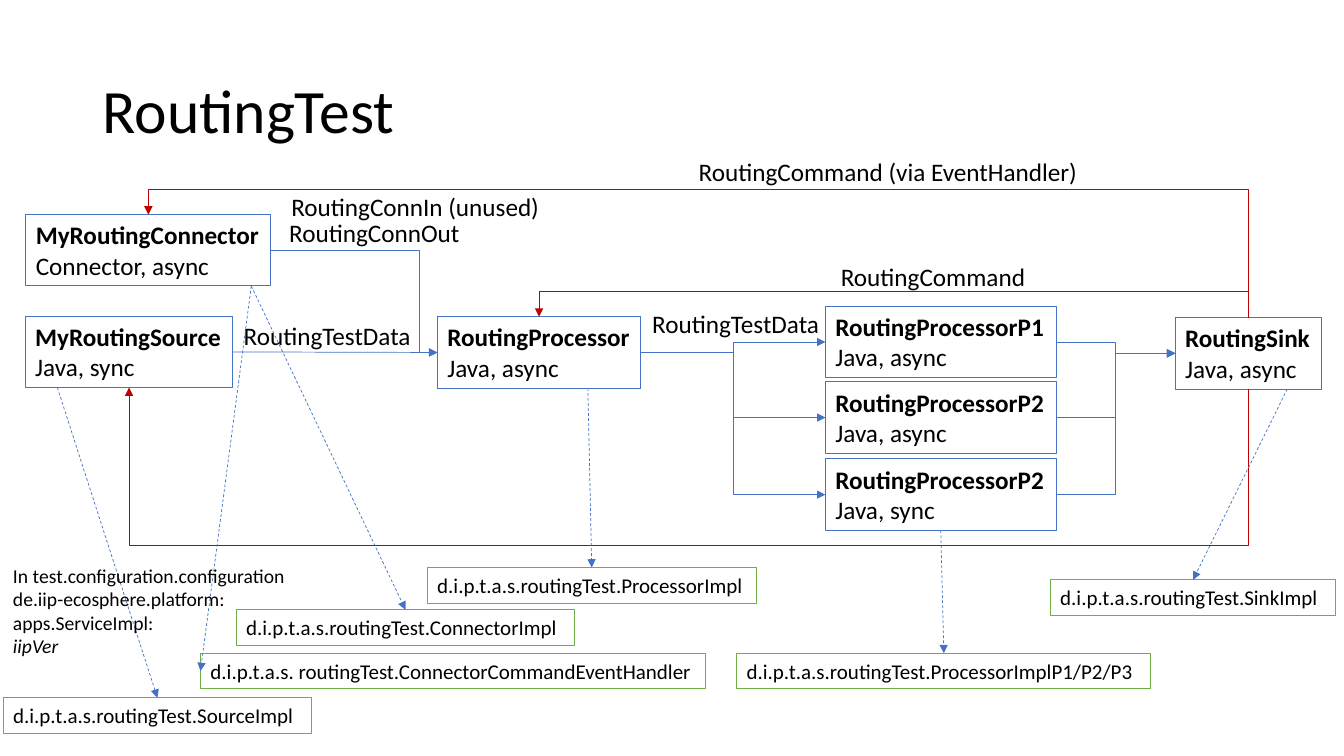
import pptx
import pptx.dml.color
import pptx.enum.dml
import pptx.enum.shapes
import pptx.enum.text
import pptx.oxml.ns
import pptx.util
from lxml import etree

Pt = pptx.util.Pt
CONNECTOR_TYPE = pptx.enum.shapes.MSO_CONNECTOR
BLACK = pptx.dml.color.RGBColor(0x00, 0x00, 0x00)
BLUE = pptx.dml.color.RGBColor(0x44, 0x72, 0xC4)
GREEN = pptx.dml.color.RGBColor(0x70, 0xAD, 0x47)
RED = pptx.dml.color.RGBColor(0xC0, 0x00, 0x00)
TOP, LEFT, BOTTOM, RIGHT = range(4)
NODE_HEIGHT = 51
IMPLEMENTATION_HEIGHT = 25.4


def add_child(parent, tag, **attributes):
    return etree.SubElement(parent, pptx.oxml.ns.qn(tag), attributes)


def write_text(frame, lines, size):
    """Write (text, format) pairs, one paragraph each."""
    frame.word_wrap = False
    frame.auto_size = pptx.enum.text.MSO_AUTO_SIZE.SHAPE_TO_FIT_TEXT
    frame.vertical_anchor = pptx.enum.text.MSO_ANCHOR.TOP
    for index, (text, formatting) in enumerate(lines):
        paragraph = frame.add_paragraph() if index else frame.paragraphs[0]
        paragraph.alignment = pptx.enum.text.PP_ALIGN.LEFT
        run = paragraph.add_run()
        run.text = text
        values = {"name": "Calibri", "size": Pt(size)} | formatting
        for name, value in values.items():
            setattr(run.font, name, value)
        run.font.color.rgb = BLACK


def add_box(slide, left, top, width, height, lines, size, color):
    shape = slide.shapes.add_shape(
        pptx.enum.shapes.MSO_SHAPE.RECTANGLE, Pt(left), Pt(top), Pt(width), Pt(height))
    shape.shadow.inherit = False
    shape.fill.background()
    shape.line.color.rgb = color
    shape.line.width = Pt(0.75)
    write_text(shape.text_frame, lines, size)
    return shape


def add_text(slide, left, top, width, height, lines, size):
    box = slide.shapes.add_textbox(Pt(left), Pt(top), Pt(width), Pt(height))
    write_text(box.text_frame, lines, size)


def add_arrow(slide, kind, color, begin, end, dashed=False):
    """Draw an arrow; begin is (shape, side) or a point in EMU, end is (shape, side)."""
    arrow = slide.shapes.add_connector(kind, 0, 0, 0, 0)
    if isinstance(begin[0], int):
        arrow.begin_x, arrow.begin_y = begin
    else:
        arrow.begin_connect(*begin)
    arrow.end_connect(*end)
    arrow.line.color.rgb = color
    arrow.line.width = Pt(0.5)
    if dashed:
        arrow.line.dash_style = pptx.enum.dml.MSO_LINE.DASH
    properties = arrow._element.spPr
    add_child(properties.find(pptx.oxml.ns.qn("a:ln")), "a:tailEnd", type="triangle")
    add_child(properties, "a:effectLst")
    return arrow


def set_bend(arrow, share):
    """Place the middle segment of an elbow at a share of its length."""
    values = next(arrow._element.spPr.iter(pptx.oxml.ns.qn("a:avLst")))
    add_child(values, "a:gd", name="adj1", fmla=f"val {round(share * 100000)}")


def add_command_loop(slide, begin, end, turn):
    """Lead an arrow vertically out of one box, across at height turn, into another."""
    arrow = add_arrow(slide, CONNECTOR_TYPE.ELBOW, RED, begin, end)
    start_x, start_y = arrow.begin_x, arrow.begin_y
    end_x, end_y = arrow.end_x, arrow.end_y
    rise, run = start_y - end_y, start_x - end_x
    arrow.left = (start_x + end_x - rise) // 2
    arrow.top = (start_y + end_y - run) // 2
    arrow.width, arrow.height = rise, run
    transform = arrow._element.spPr.find(pptx.oxml.ns.qn("a:xfrm"))
    transform.attrib.pop("flipH", None)
    transform.set("rot", str(270 * 60000))
    transform.set("flipV", "1")
    set_bend(arrow, (start_y - Pt(turn)) / rise)


def add_title(slide, left, top, width, height):
    title = slide.shapes.title
    title.left, title.top, title.width, title.height = map(Pt, (left, top, width, height))
    frame = title.text_frame
    frame.text = "RoutingTest"
    frame.vertical_anchor = pptx.enum.text.MSO_ANCHOR.MIDDLE
    paragraph = frame.paragraphs[0]
    paragraph.alignment = pptx.enum.text.PP_ALIGN.LEFT
    paragraph.line_spacing = 0.9
    for name, value in {"name": "Calibri", "size": Pt(44)}.items():
        setattr(paragraph.font, name, value)
    paragraph.font.color.rgb = BLACK


def add_nodes(slide, left, top):
    """Add the services and return them by key."""
    nodes = {}
    for key, x, y, width, name, kind in (
        ("connector", 0.5, 0, 175, "MyRoutingConnector", "Connector, async"),
        ("source", 0, 72.6, 148.4, "MyRoutingSource", "Java, sync"),
        ("processor", 294.4, 73, 145.4, "RoutingProcessor", "Java, async"),
        ("p1", 571.6, 65.5, 164.8, "RoutingProcessorP1", "Java, async"),
        ("p2", 571.6, 119.5, 164.8, "RoutingProcessorP2", "Java, async"),
        ("p3", 571.6, 174.5, 164.8, "RoutingProcessorP2", "Java, sync"),
        ("sink", 821.5, 73.6, 104.8, "RoutingSink", "Java, async"),
    ):
        lines = [(name, {"bold": True}), (kind, {"bold": False})]
        nodes[key] = add_box(slide, left + x, top + y, width, NODE_HEIGHT, lines, 18, BLUE)
    return nodes


def add_data_flow(slide, nodes):
    processor, sink = nodes["processor"], nodes["sink"]
    add_arrow(slide, CONNECTOR_TYPE.STRAIGHT, BLUE,
              (nodes["source"], RIGHT), (processor, LEFT))
    connector_output = add_arrow(slide, CONNECTOR_TYPE.ELBOW, BLUE,
                                 (nodes["connector"], RIGHT), (processor, LEFT))
    set_bend(connector_output, 0.89)
    for key in ("p1", "p2", "p3"):
        for begin, end in ((processor, nodes[key]), (nodes[key], sink)):
            add_arrow(slide, CONNECTOR_TYPE.ELBOW, BLUE, (begin, RIGHT), (end, LEFT))


def add_commands(slide, nodes, top):
    for key, side, turn in (("connector", TOP, 0), ("processor", TOP, 73),
                            ("source", BOTTOM, 255)):
        add_command_loop(slide, (nodes["sink"], side), (nodes[key], side), top + turn)


def add_flow_labels(slide, left, top):
    for x, y, width, text in (
        (324, 0, 288, "RoutingCommand (via EventHandler)"),
        (33, 25.2, 194, "RoutingConnIn (unused)"),
        (31.5, 44, 138, "RoutingConnOut"),
        (425.5, 75, 148, "RoutingCommand"),
        (-1, 117.5, 135, "RoutingTestData"),
        (290.8, 109, 135, "RoutingTestData"),
    ):
        add_text(slide, left + x, top + y, width, 29, [(text, {})], 18)


def add_implementations(slide, nodes, left, top):
    """Add the class boxes, each reached by a dashed arrow from its service."""
    for key, offset, side, x, y, width, name in (
        ("source", 23, TOP, 0, 93, 220.5, "SourceImpl"),
        ("sink", 80, TOP, 748, 8.8, 204, "SinkImpl"),
        ("processor", 107.5, TOP, 303, 0, 235, "ProcessorImpl"),
        ("connector", 161, TOP, 166.5, 30.2, 242, "ConnectorImpl"),
        ("connector", 161, LEFT, 141, 61.2, 361, " ConnectorCommandEventHandler"),
        ("p3", None, TOP, 524, 61.2, 296, "ProcessorImplP1/P2/P3"),
    ):
        gap = " " if name.startswith(" ") else ""
        text = f"d.i.p.t.a.s.{gap}routingTest.{name.strip()}"
        box = add_box(slide, left + x, top + y, width, IMPLEMENTATION_HEIGHT,
                      [(text, {})], 15, GREEN)
        node = nodes[key]
        begin = (node, BOTTOM)
        if offset is not None:
            begin = (int(node.left + Pt(offset)), int(node.top + node.height))
        add_arrow(slide, CONNECTOR_TYPE.STRAIGHT, BLUE, begin, (box, side), dashed=True)


def add_configuration_note(slide, left, top, width, height):
    lines = [(text, {}) for text in (
        "In test.configuration.configuration",
        "de.iip-ecosphere.platform:",
        "apps.ServiceImpl:",
    )]
    add_text(slide, left, top, width, height, lines + [("iipVer", {"italic": True})], 14)


def main():
    presentation = pptx.Presentation()
    presentation.slide_width, presentation.slide_height = Pt(960), Pt(540)
    slide = presentation.slides.add_slide(presentation.slide_layouts[5])
    add_title(slide, 66, 28.8, 828, 104.4)
    nodes = add_nodes(slide, 18, 153.3)
    add_data_flow(slide, nodes)
    add_commands(slide, nodes, 135.3)
    add_flow_labels(slide, 168, 108)
    add_implementations(slide, nodes, 2.2, 405.4)
    add_configuration_note(slide, 2.2, 399, 211, 75)
    presentation.save("out.pptx")


if __name__ == "__main__":
    main()
